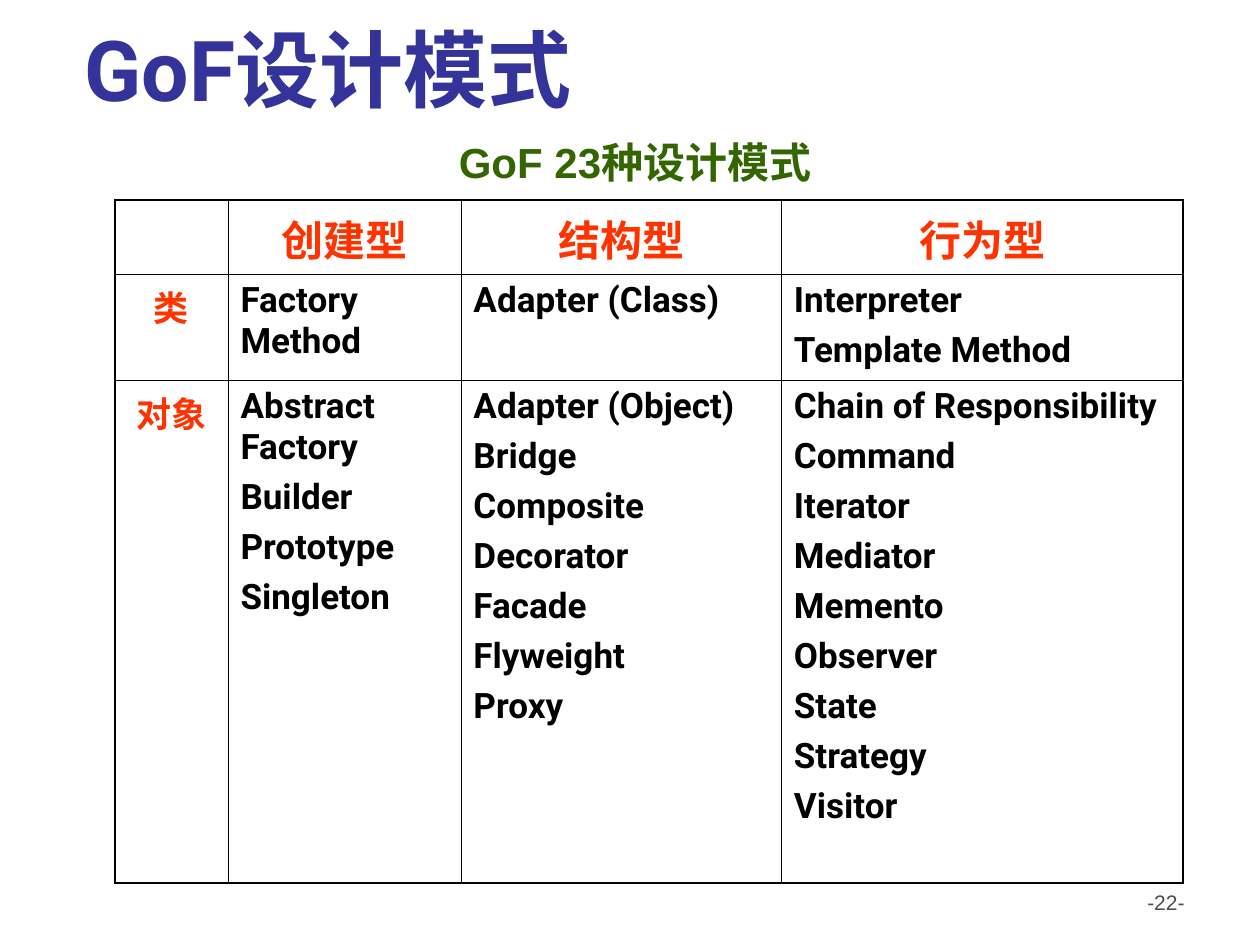
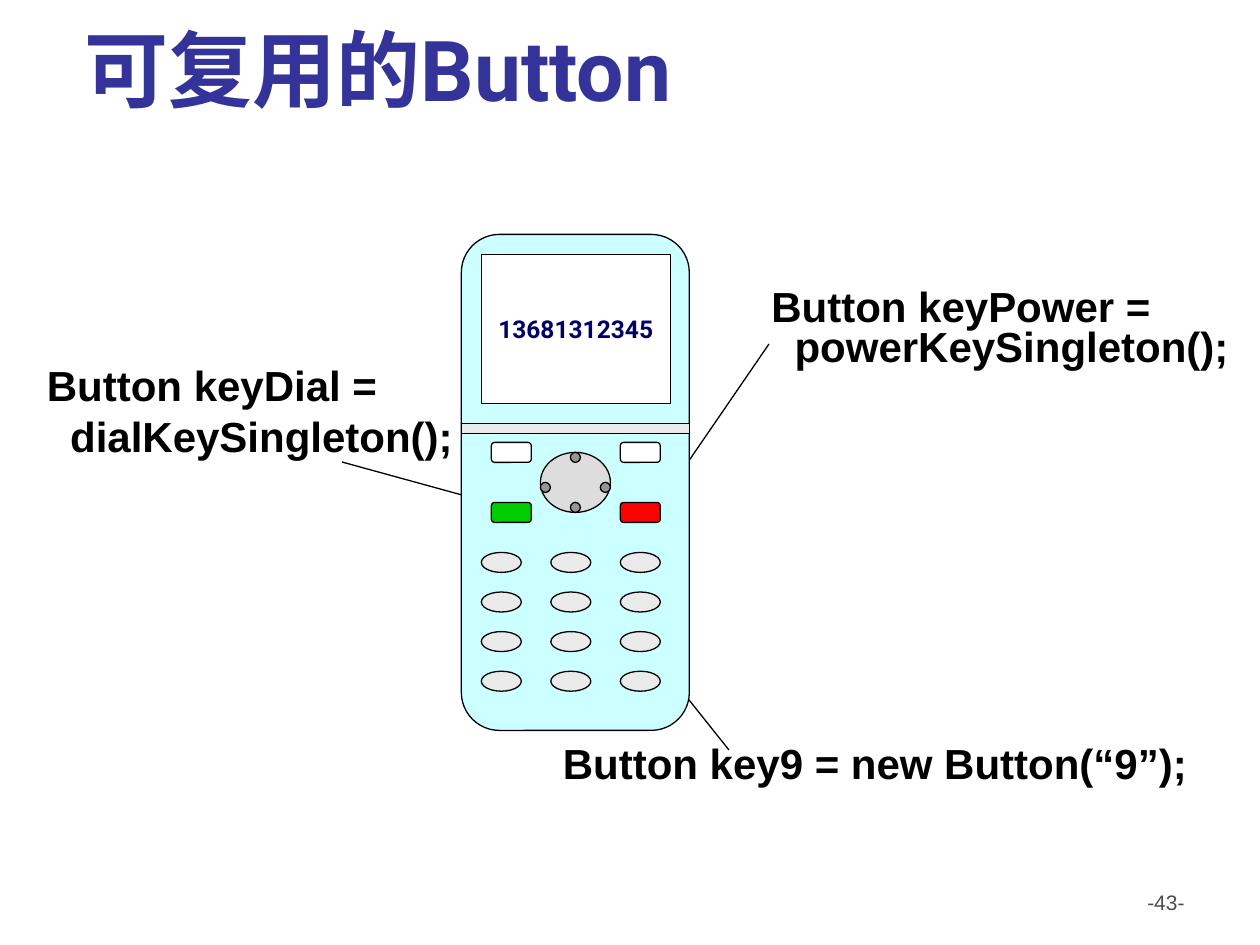
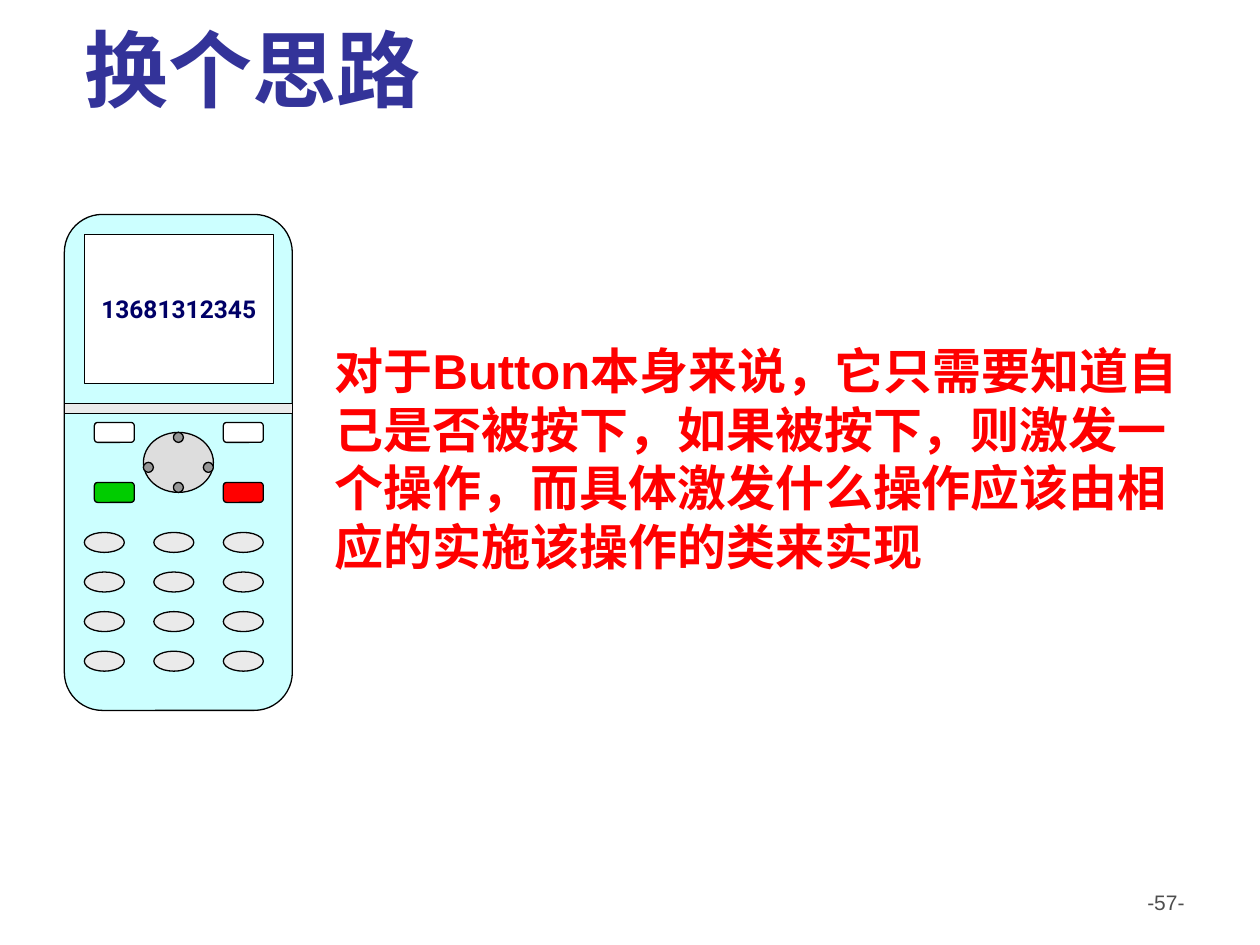
from lxml.etree import SubElement
from pptx import Presentation
from pptx.dml.color import RGBColor
from pptx.enum.lang import MSO_LANGUAGE_ID as LANG
from pptx.enum.shapes import MSO_CONNECTOR, MSO_SHAPE as SHAPE
from pptx.enum.text import MSO_ANCHOR as ANCHOR, MSO_AUTO_SIZE as FIT, PP_ALIGN as ALIGN
from pptx.oxml.ns import qn
from pptx.util import Pt

# Shared style
EMU_PER_PX = 914400 / 126
HEAD_FONT, BODY_FONT = "Roboto", "Arial"
BLACK, WHITE, GRAY, KEY_GRAY = "000000", "FFFFFF", "4D4D4D", "EAEAEA"
TITLE_BLUE, GREEN, ORANGE, RED = "333399", "336600", "FF3300", "FF0000"
TITLE_BOX = (72, 35, 1094, 90)
NUMBER_BOX = (903, 883, 294, 66)
THIN, OUTER = 0.45, 1.08

# Slide content
PATTERNS_TITLE, PATTERNS_NUMBER = "GoF设计模式", 22
PATTERNS_CAPTION = "GoF 23种设计模式"
PATTERN_ROWS = [
    [[], ["创建型"], ["结构型"], ["行为型"]],
    [["类"], ["Factory Method"], ["Adapter (Class)"], ["Interpreter", "Template Method"]],
    [["对象"],
     ["Abstract Factory", "Builder", "Prototype", "Singleton"],
     ["Adapter (Object)", "Bridge", "Composite", "Decorator", "Facade", "Flyweight", "Proxy"],
     ["Chain of Responsibility", "Command", "Iterator", "Mediator", "Memento", "Observer",
      "State", "Strategy", "Visitor"]],
]
COLUMN_WIDTHS, ROW_HEIGHTS = (113, 233, 320.5, 402), (74, 106, 503)
HEADING_MARGINS = (17, 15, 15)  # top margin of heading cells, by row

BUTTON_TITLE, BUTTON_NUMBER = "可复用的Button", 43
CALLOUTS = [  # paragraphs, text box, line from, line to
    (["Button key9 = new Button(“9”);"], (550.5, 741, 655, 53), (650, 651), (729, 750)),
    (["Button keyDial =", "  dialKeySingleton();"], (34.5, 363.5, 437, 105),
     (491, 503), (342, 462)),
    (["Button keyPower =\v  powerKeySingleton();"], (759, 284, 501, 93), (660, 503), (769, 344)),
]

IDEA_TITLE, IDEA_NUMBER = "换个思路", 57
IDEA = ("对于Button本身来说，它只需要知道自己是否被按下，如果被按下，则激发一个操作，"
        "而具体激发什么操作应该由相应的实施该操作的类来实现")

# Phone parts, measured from its top left corner
PHONE_NUMBER = "13681312345"
PHONE_PARTS = [
    (SHAPE.ROUNDED_RECTANGLE, (0, 0, 228, 496), "CCFFFF"),
    (SHAPE.RECTANGLE, (20, 20, 189, 149), WHITE),
    (SHAPE.RECTANGLE, (0, 189, 228, 10), KEY_GRAY),
    (SHAPE.OVAL, (79, 218, 70, 60), "DDDDDD"),
]
SOFT_KEYS = [(30, 208, WHITE), (30, 268, "00CC00"), (159, 208, WHITE), (159, 268, RED)]
PAD_DOTS = [(109, 218), (109, 268), (139, 248), (79, 248)]
KEY_W, KEY_H, DOT = 40, 20, 10
KEY_LEFT, KEY_TOP, KEY_STEP_X, KEY_STEP_Y = 20, 318, 69.5, 39.6


def px(*values):
    return [round(v * EMU_PER_PX) for v in values]


def rgb(code):
    return RGBColor.from_string(code)


def write(tf, paragraphs, size, color, font=BODY_FONT, bold=True, align=None,
          before=0, spacing=None):
    """Fill a text frame; a vertical tab in a paragraph is a line break."""
    for i, text in enumerate(paragraphs):
        p = tf.add_paragraph() if i else tf.paragraphs[0]
        p.alignment, p.line_spacing = align, spacing
        p.space_before = Pt(before if i else 0)
        for j, line in enumerate(text.split("\v")):
            if j:
                p.add_line_break()
            r = p.add_run()
            r.text = line
            f = r.font
            f.size, f.bold, f.name = Pt(size), bold, font
            f.language_id = LANG.SIMPLIFIED_CHINESE
            f.color.rgb = rgb(color)
            SubElement(r._r.get_or_add_rPr(), qn("a:ea"), typeface=font)


def add_text(s, box, paragraphs, size, color, **fmt):
    tf = s.shapes.add_textbox(*px(*box)).text_frame
    tf.word_wrap = True
    write(tf, paragraphs, size, color, **fmt)


def new_slide(prs, title, number):
    s = prs.slides.add_slide(prs.slide_layouts[5])
    sp = s.shapes.title
    sp.left, sp.top, sp.width, sp.height = px(*TITLE_BOX)
    tf = sp.text_frame
    tf.auto_size, tf.vertical_anchor = FIT.NONE, ANCHOR.BOTTOM
    write(tf, [title], 48, TITLE_BLUE, font=HEAD_FONT, align=ALIGN.LEFT)
    add_text(s, NUMBER_BOX, [f"-{number}-"], 12, GRAY, bold=False, align=ALIGN.RIGHT)
    return s


def set_borders(cell, widths):
    tcPr = cell._tc.get_or_add_tcPr()
    for side, width in zip("LRTB", widths):
        ln = SubElement(tcPr, qn(f"a:ln{side}"), w=str(Pt(width)))
        SubElement(SubElement(ln, qn("a:solidFill")), qn("a:srgbClr"), val=BLACK)


def add_pattern_table(s):
    n_rows, n_cols = len(ROW_HEIGHTS), len(COLUMN_WIDTHS)
    box = px(115, 200, sum(COLUMN_WIDTHS), sum(ROW_HEIGHTS))
    table = s.shapes.add_table(n_rows, n_cols, *box).table
    table.first_row = table.horz_banding = False
    for column, width in zip(table.columns, COLUMN_WIDTHS):
        column.width = px(width)[0]
    for row, height in zip(table.rows, ROW_HEIGHTS):
        row.height = px(height)[0]
    for i, row in enumerate(PATTERN_ROWS):
        for j, names in enumerate(row):
            cell = table.cell(i, j)
            heading = i == 0 or j == 0
            if heading:
                cell.margin_top = px(HEADING_MARGINS[i])[0]
                cell.margin_bottom = 0
            write(cell.text_frame, names, 20 if i else 24, ORANGE if heading else BLACK,
                  font=HEAD_FONT, align=ALIGN.CENTER if heading else ALIGN.LEFT, before=5)
            at_edge = (j == 0, j == n_cols - 1, i == 0, i == n_rows - 1)
            set_borders(cell, [OUTER if edge else THIN for edge in at_edge])
            cell.fill.background()


def add_line(s, start, end):
    line = s.shapes.add_connector(MSO_CONNECTOR.STRAIGHT, *px(*start, *end))
    line.line.color.rgb, line.line.width = rgb(BLACK), Pt(0.75)
    SubElement(line._element.spPr, qn("a:effectLst"))


def add_phone(s, left, top):
    keys = [(SHAPE.ROUNDED_RECTANGLE, (x, y, KEY_W, KEY_H), c) for x, y, c in SOFT_KEYS]
    digits = [(SHAPE.OVAL, (KEY_LEFT + col * KEY_STEP_X, KEY_TOP + row * KEY_STEP_Y,
                            KEY_W, KEY_H), KEY_GRAY)
              for row in range(4) for col in range(3)]
    dots = [(SHAPE.OVAL, (x, y, DOT, DOT), "969696") for x, y in PAD_DOTS]
    group = s.shapes.add_group_shape()
    parts = []
    for kind, (x, y, w, h), color in PHONE_PARTS + keys + digits + dots:
        sp = group.shapes.add_shape(kind, *px(left + x, top + y, w, h))
        sp.shadow.inherit = False
        sp.fill.solid()
        sp.fill.fore_color.rgb = rgb(color)
        sp.line.color.rgb, sp.line.width = rgb(BLACK), Pt(0.75)
        parts.append(sp)
    screen = parts[1].text_frame
    screen.word_wrap, screen.vertical_anchor = False, ANCHOR.MIDDLE
    write(screen, [PHONE_NUMBER], 14, "000066", font=HEAD_FONT, align=ALIGN.CENTER)


def main():
    prs = Presentation()
    prs.slide_width, prs.slide_height = px(1260, 945)

    # Pattern overview
    s = new_slide(prs, PATTERNS_TITLE, PATTERNS_NUMBER)
    add_pattern_table(s)
    add_text(s, (84.5, 130, 1101, 63), [PATTERNS_CAPTION], 24, GREEN, align=ALIGN.CENTER)

    # Reusable button: the phone covers the inner ends of the lines
    s = new_slide(prs, BUTTON_TITLE, BUTTON_NUMBER)
    for code, box, start, end in CALLOUTS:
        add_line(s, start, end)
        add_text(s, box, code, 24, BLACK, before=6, spacing=0.8)
    add_phone(s, 461.4, 234.4)

    # Another idea
    s = new_slide(prs, IDEA_TITLE, IDEA_NUMBER)
    add_phone(s, 64.4, 214.4)
    add_text(s, (322.5, 334, 893, 248), [IDEA], 28, RED)

    prs.save("out.pptx")


if __name__ == "__main__":
    main()
